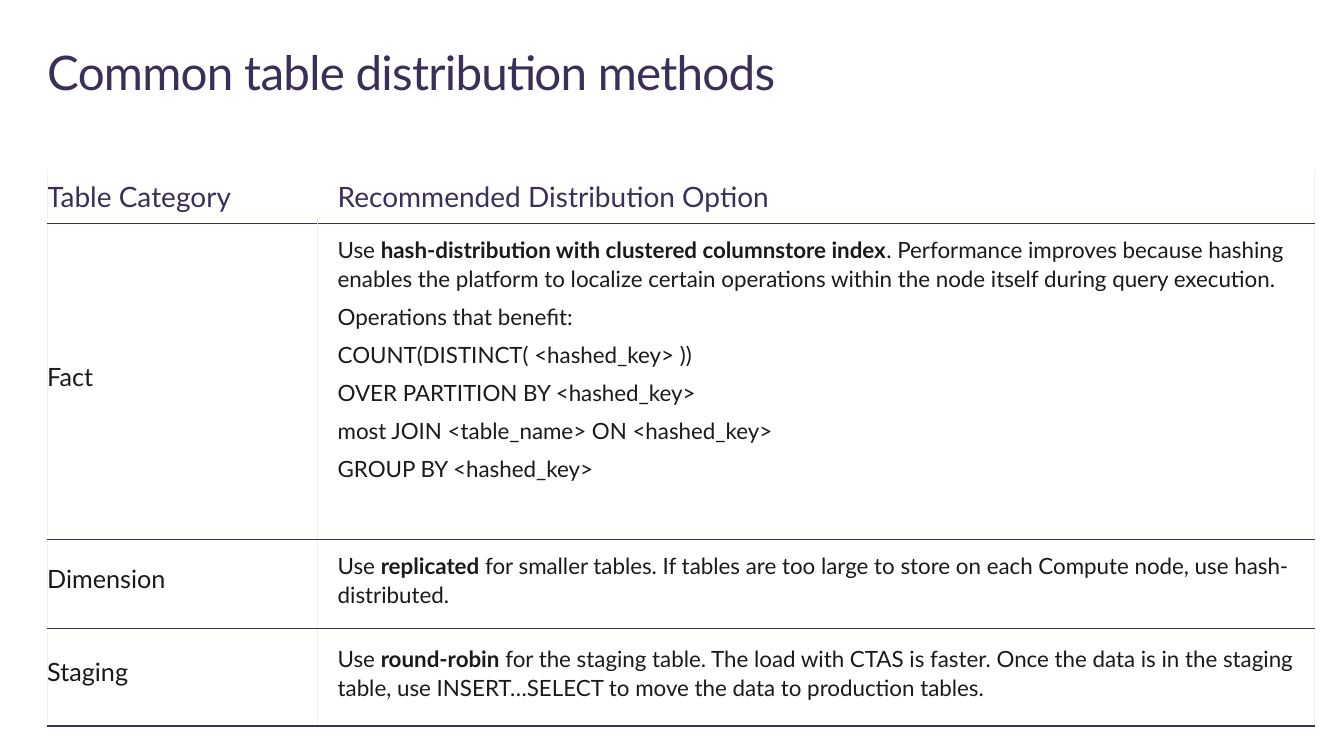
import pptx
import pptx.dml.color
import pptx.enum.text
import pptx.oxml
import pptx.oxml.ns
import pptx.util

Cm = pptx.util.Cm
Pt = pptx.util.Pt
ANCHOR = pptx.enum.text.MSO_ANCHOR

COLORS = {"violet": "3B2E58", "ink": "1A1A1A", "grid": "F2F2F2", "white": "FFFFFF"}
FONT = "Lato"
COLUMN_WIDTHS = (6.81, 25.12)
ROW_HEIGHTS = (1.35, 7.95, 2.24, 2.46)
HEADINGS = ("Table Category", "Recommended Distribution Option")

# Each option is a list of paragraphs; each paragraph is a list of (text, bold) spans.
OPTIONS = [
    ("Fact", [
        [("Use ", False),
         ("hash-distribution with clustered columnstore index", True),
         (". Performance improves because hashing enables the platform to localize "
          "certain operations within the node itself during query execution.", False)],
        [("Operations that benefit:", False)],
        [("COUNT(DISTINCT( <hashed_key> ))", False)],
        [("OVER PARTITION BY <hashed_key>", False)],
        [("most JOIN <table_name> ON <hashed_key>", False)],
        [("GROUP BY <hashed_key>", False)],
    ]),
    ("Dimension", [
        [("Use ", False), ("replicated", True),
         (" for smaller tables. If tables are too large to store on each Compute node, "
          "use hash-distributed.", False)],
    ]),
    ("Staging", [
        [("Use ", False), ("round-robin", True),
         (" for the staging table. The load with CTAS is faster. Once the data is in the "
          "staging table, use INSERT…SELECT to move the data to production tables.", False)],
    ]),
]


class SlideBuilder:
    def __init__(self, deck):
        self.slide = deck.slides.add_slide(deck.slide_layouts[5])

    def add_span(self, para, text, size, color, bold=False):
        span = para.add_run()
        span.text = text
        span.font.name = FONT
        span.font.size = Pt(size)
        span.font.bold = bold
        span.font.color.rgb = pptx.dml.color.RGBColor.from_string(COLORS[color])
        return span

    def add_title(self, text):
        title = self.slide.shapes.title
        title.left, title.top = Cm(1.19), Cm(0.61)
        title.width, title.height = Cm(21.36), Cm(2.11)
        frame = title.text_frame
        frame.margin_left = frame.margin_right = frame.margin_bottom = 0
        frame.margin_top = Cm(0.46)
        frame.vertical_anchor = ANCHOR.TOP
        frame.auto_size = pptx.enum.text.MSO_AUTO_SIZE.NONE
        para = frame.paragraphs[0]
        para.alignment = pptx.enum.text.PP_ALIGN.LEFT
        span = self.add_span(para, text, 34, "violet")
        span.font._element.set("spc", "-50")

    def add_table(self):
        table = self.slide.shapes.add_table(
            len(ROW_HEIGHTS), len(COLUMN_WIDTHS), Cm(1.19), Cm(4.29),
            Cm(sum(COLUMN_WIDTHS)), Cm(sum(ROW_HEIGHTS))).table
        table.first_row = table.horz_banding = False
        for column, width in zip(table.columns, COLUMN_WIDTHS):
            column.width = Cm(width)
        for row, height in zip(table.rows, ROW_HEIGHTS):
            row.height = Cm(height)
        return table

    def set_borders(self, cell, **sides):
        """Draw 1 pt borders; a side whose colour is None stays invisible."""
        properties = cell._tc.get_or_add_tcPr()
        namespace = pptx.oxml.ns.nsdecls("a")
        for side in "LRTB":
            color = sides[side]
            fill = (f'<a:solidFill><a:srgbClr val="{COLORS[color]}"/></a:solidFill>'
                    if color else "<a:noFill/>")
            properties.append(pptx.oxml.parse_xml(
                f'<a:ln{side} {namespace} w="12700">{fill}</a:ln{side}>'))

    def fill_cell(self, cell, paragraphs, size, color, insets, anchor,
                  line_spacing=1.0, space_after=0):
        cell.margin_left, cell.margin_top, cell.margin_right, cell.margin_bottom = (
            Cm(inset) for inset in insets)
        cell.vertical_anchor = anchor
        cell.fill.background()
        frame = cell.text_frame
        for index, spans in enumerate(paragraphs):
            para = frame.add_paragraph() if index else frame.paragraphs[0]
            para.line_spacing = line_spacing
            para.space_after = Pt(space_after)
            for text, bold in spans:
                self.add_span(para, text, size, color, bold)


def main():
    deck = pptx.Presentation()
    deck.slide_width, deck.slide_height = Cm(33.87), Cm(19.05)
    page = SlideBuilder(deck)
    page.add_title("Common table distribution methods")
    table = page.add_table()

    for row in range(len(ROW_HEIGHTS)):
        divider = "grid" if row else "white"
        top = "violet" if row else None
        page.set_borders(table.cell(row, 0), L="grid", R=divider, T=top, B="violet")
        page.set_borders(table.cell(row, 1), L=divider, R="grid", T=top, B="violet")

    for column, heading in enumerate(HEADINGS):
        page.fill_cell(table.cell(0, column), [[(heading, False)]], 20, "violet",
                       (0.51 * column, 0.25, 0.05, 0.25), ANCHOR.TOP)

    for row, (category, advice) in enumerate(OPTIONS, start=1):
        page.fill_cell(table.cell(row, 0), [[(category, False)]], 18, "ink",
                       (0, 0.25, 0.51, 0.51), ANCHOR.MIDDLE)
        anchor = ANCHOR.TOP if len(advice) > 1 else ANCHOR.MIDDLE
        page.fill_cell(table.cell(row, 1), advice, 16, "ink",
                       (0.51, 0.25, 0.25, 0.51), anchor, 1.1, 6)

    deck.save("out.pptx")


if __name__ == "__main__":
    main()
